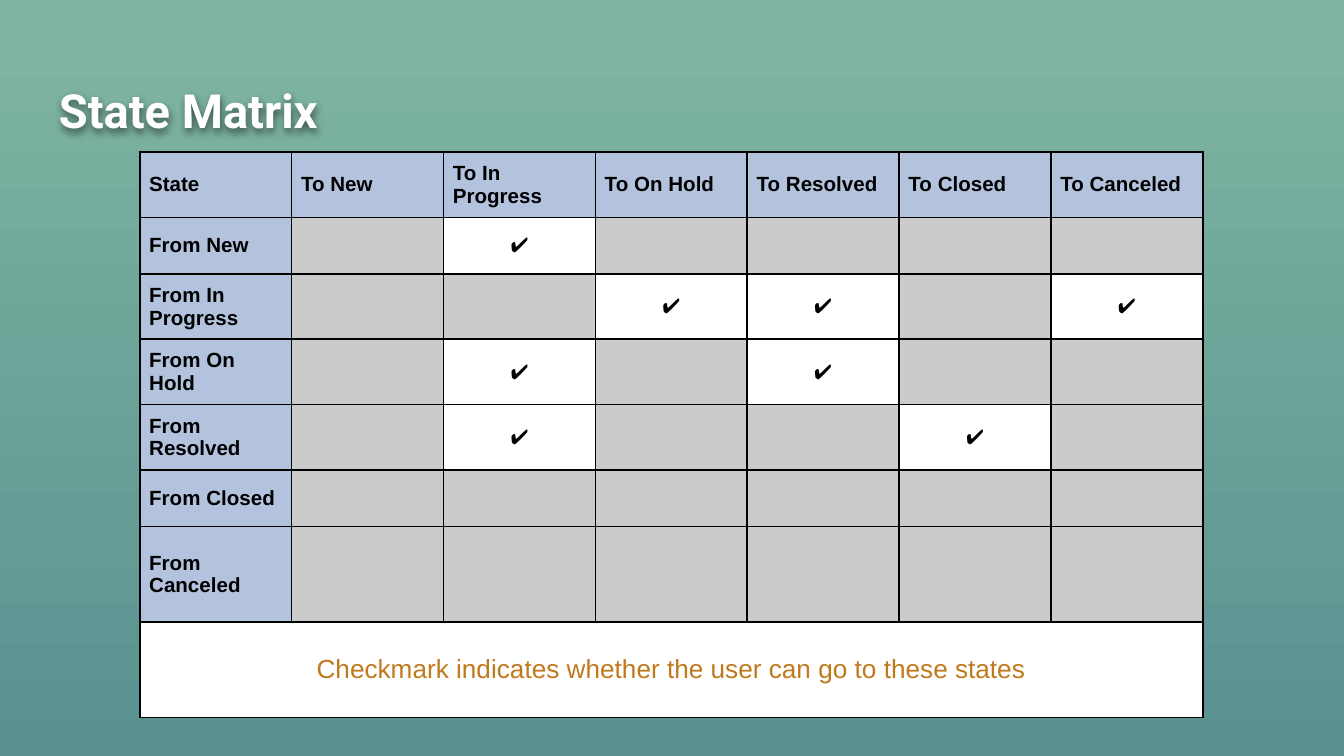
"""Build the State Matrix slide with its table of allowed transitions."""
from lxml import etree
from pptx import Presentation
from pptx.dml.color import RGBColor
from pptx.enum.text import MSO_ANCHOR, PP_ALIGN
from pptx.oxml import parse_xml
from pptx.oxml.ns import nsdecls, qn
from pptx.util import Inches, Pt

MIDDLE = MSO_ANCHOR.MIDDLE
LEFT, CENTER = PP_ALIGN.LEFT, PP_ALIGN.CENTER
BLACK = RGBColor(0x00, 0x00, 0x00)
WHITE = RGBColor(0xFF, 0xFF, 0xFF)
HEADER_BLUE = RGBColor(0xB3, 0xC3, 0xDE)
BLOCKED_GRAY = RGBColor(0xCB, 0xCB, 0xCB)
NOTE_ORANGE = RGBColor(0xC0, 0x79, 0x1B)
TOP_GREEN = RGBColor(0x80, 0xB6, 0xA1)
BOTTOM_TEAL = RGBColor(0x59, 0x91, 0x91)

STATES = ["New", "In Progress", "On Hold", "Resolved", "Closed", "Canceled"]
ALLOWED = {
    "New": ["In Progress"],
    "In Progress": ["On Hold", "Resolved", "Canceled"],
    "On Hold": ["In Progress", "Resolved"],
    "Resolved": ["In Progress", "Closed"],
}
NOTE = "Checkmark indicates whether the user can go to these states"
COLUMN_WIDTH = 1.13
ROW_HEIGHTS = [0.48, 0.4, 0.48, 0.48, 0.48, 0.4, 0.71, 0.71]


def write(text_frame, text, font_name, size, color, bold=False, alignment=LEFT):
    paragraph = text_frame.paragraphs[0]
    paragraph.text = text
    paragraph.alignment = alignment
    for run in paragraph.runs:
        run.font.name = font_name
        run.font.size = Pt(size)
        run.font.bold = bold
        run.font.color.rgb = color


def style_cell(cell, color):
    cell.margin_left = cell.margin_right = Inches(0.07)
    cell.margin_top = cell.margin_bottom = Inches(0.06)
    cell.vertical_anchor = MIDDLE
    properties = cell._tc.get_or_add_tcPr()
    for side in ("a:lnL", "a:lnR", "a:lnT", "a:lnB"):
        border = etree.SubElement(properties, qn(side), w=str(Pt(1)))
        border_fill = etree.SubElement(border, qn("a:solidFill"))
        etree.SubElement(border_fill, qn("a:srgbClr"), val=str(BLACK))
    cell.fill.solid()
    cell.fill.fore_color.rgb = color


presentation = Presentation()
presentation.slide_width = Inches(10)
presentation.slide_height = Inches(10) * 9 // 16
slide = presentation.slides.add_slide(presentation.slide_layouts[6])

background = slide.background.fill
background.gradient()
background.gradient_angle = 270
for stop, color, position in zip(background.gradient_stops, (TOP_GREEN, BOTTOM_TEAL), (0, 1)):
    stop.color.rgb = color
    stop.position = position

title = slide.shapes.add_textbox(Inches(0.34), Inches(0.5), Inches(9.32), Inches(0.63))
title_frame = title.text_frame
title_frame.word_wrap = True
title_frame.vertical_anchor = MIDDLE
title_frame.margin_left = title_frame.margin_right = Inches(0.1)
title_frame.margin_top = title_frame.margin_bottom = Inches(0.1)
write(title_frame, "State Matrix", "Roboto", 25.2, WHITE, bold=True)
title._element.spPr.append(parse_xml(
    f'<a:effectLst {nsdecls("a")}>'
    f'<a:outerShdw blurRad="{Pt(4)}" dist="{Pt(2)}" dir="5400000" algn="bl" rotWithShape="0">'
    f'<a:srgbClr val="{BLACK}"><a:alpha val="50000"/></a:srgbClr>'
    '</a:outerShdw></a:effectLst>'
))

column_count = len(STATES) + 1
row_count = len(ROW_HEIGHTS)
table = slide.shapes.add_table(
    row_count, column_count, Inches(1.04), Inches(1.13),
    Inches(COLUMN_WIDTH * column_count), Inches(sum(ROW_HEIGHTS)),
).table
for column in table.columns:
    column.width = Inches(COLUMN_WIDTH)
for row, height in zip(table.rows, ROW_HEIGHTS):
    row.height = Inches(height)

headers = ["State"] + [f"To {state}" for state in STATES]
for column_index, header in enumerate(headers):
    cell = table.cell(0, column_index)
    style_cell(cell, HEADER_BLUE)
    write(cell.text_frame, header, "Arial", 11, BLACK, bold=True)

for row_index, source in enumerate(STATES, start=1):
    cell = table.cell(row_index, 0)
    style_cell(cell, HEADER_BLUE)
    write(cell.text_frame, f"From {source}", "Arial", 11, BLACK, bold=True)
    for column_index, target in enumerate(STATES, start=1):
        cell = table.cell(row_index, column_index)
        if target in ALLOWED.get(source, []):
            style_cell(cell, WHITE)
            write(cell.text_frame, "✔", "Roboto", 11, BLACK, alignment=CENTER)
        else:
            style_cell(cell, BLOCKED_GRAY)

note_row = row_count - 1
for column_index in range(column_count):
    style_cell(table.cell(note_row, column_index), WHITE)
note_cell = table.cell(note_row, 0)
note_cell.merge(table.cell(note_row, column_count - 1))
write(note_cell.text_frame, NOTE, "Arial", 14, NOTE_ORANGE, alignment=CENTER)

presentation.save("out.pptx")
